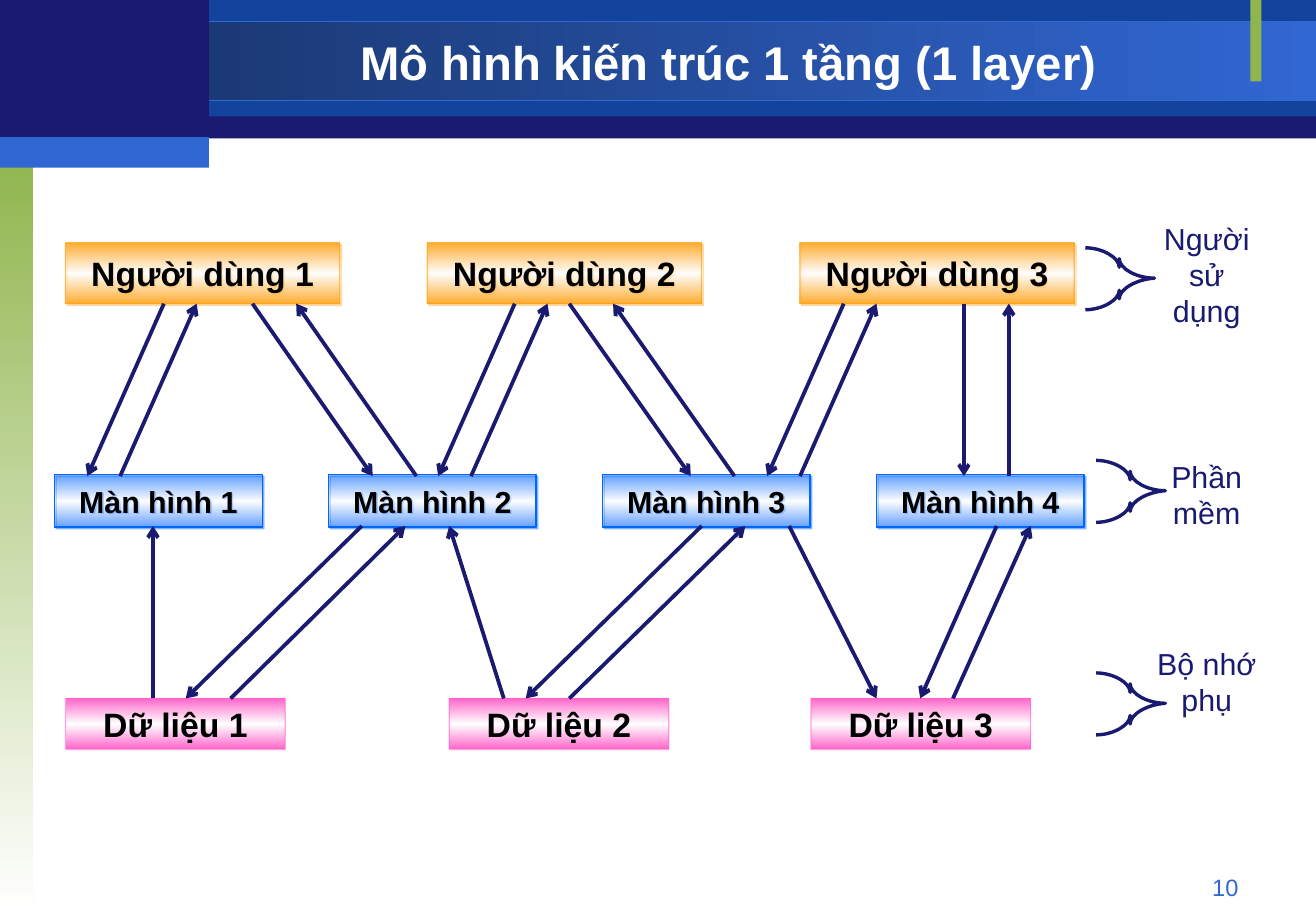
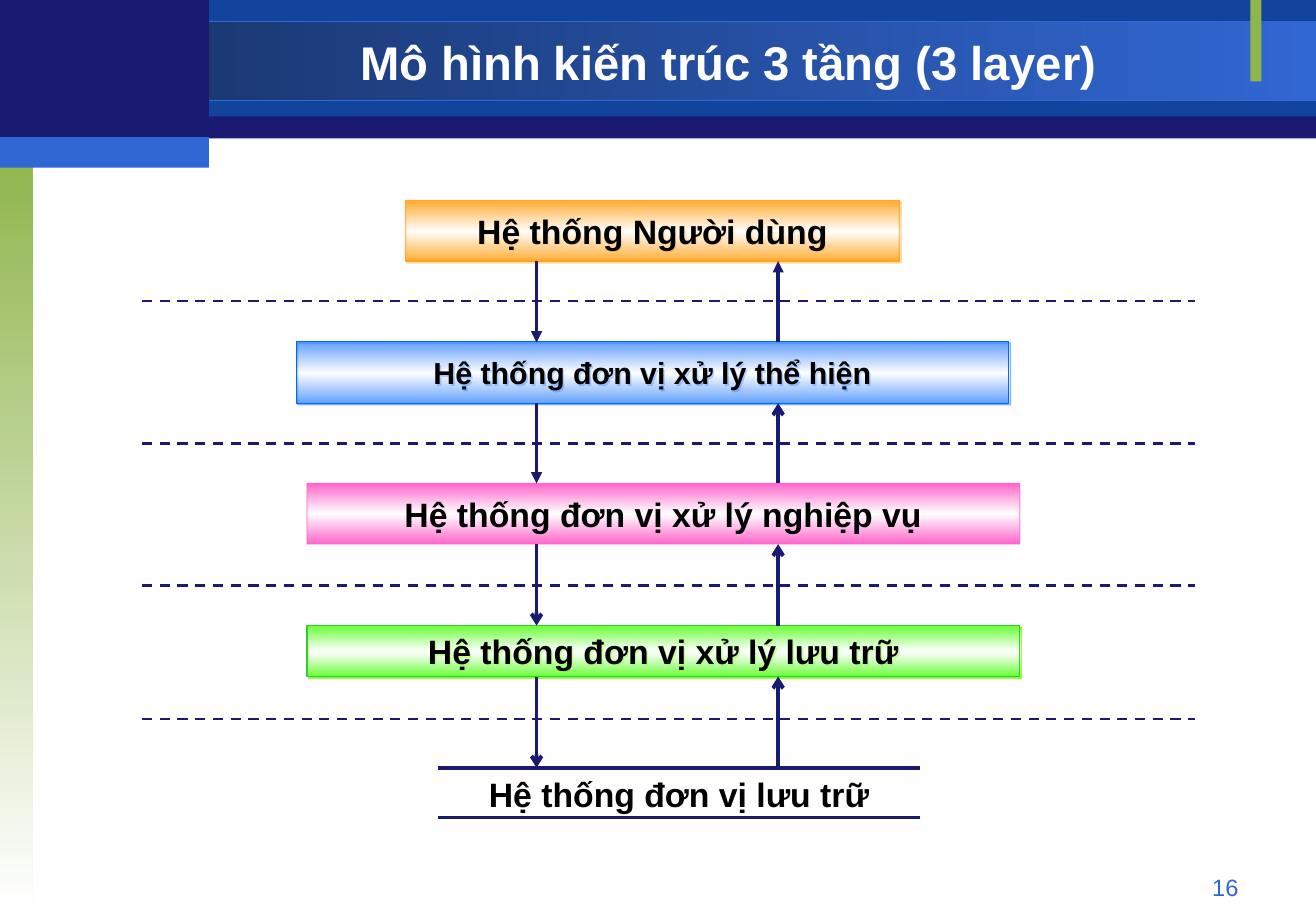
from lxml import etree
from pptx import Presentation
from pptx.dml.color import RGBColor
from pptx.enum import dml, shapes, text
from pptx.oxml import parse_xml
from pptx.oxml.ns import nsdecls, qn
from pptx.util import Inches, Pt

COLORS = {
    "navy": "1A1A70", "royal": "12449E", "steel": "173062", "sky": "3167D3",
    "olive": "90B54D", "white": "FFFFFF", "black": "000000",
    "orange": "FF9900", "blue": "0066FF", "pink": "FF66CC",
    "lime": "66FF33", "green": "33CC33", "yellow_green": "99FF33",
}
FONT = "Arial"
CENTER, RIGHT = text.PP_ALIGN.CENTER, text.PP_ALIGN.RIGHT

# Gradient stops are (position, colour, opacity); shadows are (colour, opacity)
STYLES = {
    "user": dict(stops=[(0, "orange", 71), (50, "white", 71), (100, "orange", 71)],
                 line="orange", line_opacity=60, shadow=("orange", 50)),
    "screen": dict(stops=[(0, "blue", 50), (50, "white", 50), (100, "blue", 50)],
                   line="blue", shadow=("blue", 50), size=18),
    "data": dict(stops=[(0, "pink", 100), (50, "white", 100), (100, "pink", 100)],
                 line="pink", line_opacity=60),
    "storage": dict(stops=[(0, "lime", 100), (50, "white", 50), (100, "lime", 100)],
                    line="green", shadow=("yellow_green", 100)),
}


def add_block(page, at, stops, angle=90, line=None, line_opacity=100,
              shadow=None, label="", size=20):
    """Add a gradient rectangle, with optional outline, shadow and label."""
    block = page.shapes.add_shape(shapes.MSO_SHAPE.RECTANGLE, *map(Inches, at))
    properties = block.element.spPr
    marks = "".join(
        f'<a:gs pos="{position * 1000}"><a:srgbClr val="{COLORS[color]}">'
        f'<a:alpha val="{opacity * 1000}"/></a:srgbClr></a:gs>'
        for position, color, opacity in stops)
    properties.insert(2, parse_xml(
        f'<a:gradFill {nsdecls("a")} rotWithShape="1"><a:gsLst>{marks}</a:gsLst>'
        f'<a:lin ang="{angle * 60000}" scaled="0"/></a:gradFill>'))
    if line:
        block.line.color.rgb = RGBColor.from_string(COLORS[line])
        block.line.width = Pt(0.75)
        if line_opacity < 100:
            color = properties.find(qn("a:ln")).find(".//" + qn("a:srgbClr"))
            etree.SubElement(color, qn("a:alpha"), val=str(line_opacity * 1000))
    else:
        block.line.fill.background()
    block.shadow.inherit = False
    if shadow:
        color, opacity = shadow
        properties.find(qn("a:effectLst")).append(parse_xml(
            f'<a:outerShdw {nsdecls("a")} blurRad="0" dist="{Pt(1.4)}" dir="2700000">'
            f'<a:srgbClr val="{COLORS[color]}"><a:alpha val="{opacity * 1000}"/>'
            f'</a:srgbClr></a:outerShdw>'))
    if label:
        frame = block.text_frame
        frame.vertical_anchor = text.MSO_ANCHOR.MIDDLE
        para = frame.paragraphs[0]
        para.text, para.alignment = label, CENTER
        para.font.name, para.font.size, para.font.bold = FONT, Pt(size), True
        para.font.color.rgb = RGBColor.from_string(COLORS["black"])
    return block


def add_line(page, start, end, head=None, width=2.25, dash=None):
    """Add a straight navy line, with an optional arrowhead at its end."""
    line = page.shapes.add_connector(
        shapes.MSO_CONNECTOR.STRAIGHT, *map(Inches, start + end))
    line.line.color.rgb = RGBColor.from_string(COLORS["navy"])
    line.line.width = Pt(width)
    if dash:
        line.line.dash_style = dash
    properties = line.element.spPr
    if head:
        etree.SubElement(properties.find(qn("a:ln")), qn("a:tailEnd"), type=head)
    etree.SubElement(properties, qn("a:effectLst"))


deck = Presentation()
deck.slide_width, deck.slide_height = Inches(10.84), Inches(7.5)
layout = deck.slide_layouts.get_by_name("Title Only")
for holder in list(layout.placeholders)[1:]:
    layout.shapes.element.remove(holder.element)

# Titles
pages = []
for layers in (1, 3):
    page = deck.slides.add_slide(layout)
    title = page.shapes.title
    title.left, title.top = Inches(1.71), Inches(0.22)
    title.width, title.height = Inches(8.58), Inches(0.58)
    title.text_frame.vertical_anchor = text.MSO_ANCHOR.MIDDLE
    title.text_frame.auto_size = text.MSO_AUTO_SIZE.NONE
    para = title.text_frame.paragraphs[0]
    para.text = f"Mô hình kiến trúc {layers} tầng ({layers} layer)"
    para.alignment = CENTER
    para.font.name, para.font.size, para.font.bold = FONT, Pt(28), True
    para.font.color.rgb = RGBColor.from_string(COLORS["white"])
    pages.append(page)
one_layer, three_layer = pages

# Bands, moved to the layout so that both slides share them
bands = [
    ((0, 0.01, 10.84, 1.13), "navy", "navy", 0, None),
    ((1.72, 0, 9.12, 0.96), "royal", "royal", 0, None),
    ((0, 0.18, 10.84, 0.65), "steel", "sky", 0, "sky"),
    ((0, 1.25, 0.27, 6.25), "olive", "white", 90, None),
    ((10.3, 0, 0.09, 0.67), "olive", "olive", 0, None),
    ((0, 0, 1.72, 1.17), "navy", "navy", 0, None),
    ((0, 1.13, 1.72, 0.25), "sky", "sky", 0, None),
]
for index, (at, first, last, angle, outline) in enumerate(bands):
    band = add_block(one_layer, at, [(0, first, 100), (100, last, 100)], angle, outline)
    if first == last:
        band.fill.solid()
        band.fill.fore_color.rgb = RGBColor.from_string(COLORS[first])
    band.element.nvSpPr.cNvPr.set("id", str(20 + index))
    layout.shapes.element.insert(2 + index, band.element)

# One layer: rows of users, screens and data
rows = [
    ("user", "Người dùng", (0.54, 3.52, 6.59), 2, 2.26, 0.5),
    ("screen", "Màn hình", [0.45 + 6.77 * i / 3 for i in range(4)], 3.91, 1.71, 0.43),
    ("data", "Dữ liệu", (0.54, 3.7, 6.68), 5.75, 1.81, 0.42),
]
for style, name, lefts, top, width, height in rows:
    for number, left in enumerate(lefts, 1):
        add_block(one_layer, (left, top, width, height),
                  label=f"{name} {number}", **STYLES[style])

# One layer: arrows, as (start x, end x) pairs between two heights
flows = [
    (2.5, 3.92, [(1.35, 0.72), (2.08, 3.07), (4.24, 3.61), (4.69, 5.69),
                 (6.95, 6.32), (7.94, 7.94)]),
    (3.92, 2.5, [(0.99, 1.62), (3.43, 2.44), (3.88, 4.51), (6.05, 5.05),
                 (6.59, 7.22), (8.31, 8.31)]),
    (4.33, 5.75, [(2.98, 1.53), (5.78, 4.33), (6.5, 7.22), (8.21, 7.58)]),
    (5.75, 4.33, [(1.26, 1.26), (1.9, 3.34), (4.15, 3.7), (4.69, 6.14), (7.85, 8.49)]),
]
for start_y, end_y, pairs in flows:
    for start_x, end_x in pairs:
        add_line(one_layer, (start_x, start_y), (end_x, end_y), "arrow")

# One layer: braces of four curves; the lower half mirrors the upper half
upper = [(0, 0), (0.14, 0), (0.28, 0.08), (0.28, 0.16),
         (0.28, 0.09), (0.28, 0.17), (0.42, 0.25), (0.57, 0.25)]
outline = upper + [(x, 0.51 - y) for x, y in reversed(upper[:-1])]
for left, top in ((8.94, 2.04), (9.03, 3.79), (9.03, 5.54)):
    points = [(Inches(left + x), Inches(top + y)) for x, y in outline]
    builder = one_layer.shapes.build_freeform(*points[0])
    builder.add_line_segments(points[1:], close=False)
    brace = builder.convert_to_shape()
    segments = list(brace.element.spPr.iter(qn("a:lnTo")))
    for first in (0, 4, 7, 11):
        curve = etree.Element(qn("a:cubicBezTo"))
        segments[first].addprevious(curve)
        for segment in segments[first:first + 3]:
            curve.append(segment[0])
            segment.getparent().remove(segment)
    brace.fill.background()
    brace.line.color.rgb = RGBColor.from_string(COLORS["navy"])
    brace.line.width = Pt(2)
    brace.shadow.inherit = False

# Three layers: stacked systems
systems = [
    ("user", "Hệ thống Người dùng", (3.34, 1.65, 4.07, 0.5)),
    ("screen", "Hệ thống đơn vị xử lý thể hiện", (2.44, 2.81, 5.87, 0.51)),
    ("data", "Hệ thống đơn vị xử lý nghiệp vụ", (2.53, 3.98, 5.87, 0.5)),
    ("storage", "Hệ thống đơn vị xử lý lưu trữ", (2.53, 5.15, 5.87, 0.42)),
]
for style, name, at in systems:
    add_block(three_layer, at, label=name, **STYLES[style])

# Three layers: a down arrow, an up arrow and a divider in each gap
gaps = [
    (2.15, 2.82, 2.48, "triangle", "triangle"),
    (3.32, 3.98, 3.65, "triangle", "arrow"),
    (4.48, 5.15, 4.82, "arrow", "arrow"),
    (5.57, 6.32, 5.92, "arrow", "arrow"),
]
for top, bottom, middle, down_head, up_head in gaps:
    add_line(three_layer, (4.42, top), (4.42, bottom), down_head)
    add_line(three_layer, (6.41, bottom), (6.41, top), up_head)
    add_line(three_layer, (1.17, middle), (9.84, middle), width=1.5,
             dash=dml.MSO_LINE.DASH)
for y in (6.32, 6.73):
    add_line(three_layer, (3.61, y), (7.58, y))

# Row labels, the data store and slide numbers
captions = [
    (one_layer, "Người sử dụng", (9.4, 1.76, 1.08, 1), 18, "navy", CENTER),
    (one_layer, "Phần mềm", (9.4, 3.72, 1.08, 0.7), 18, "navy", CENTER),
    (one_layer, "Bộ nhớ phụ", (9.4, 5.26, 1.08, 0.7), 18, "navy", CENTER),
    (three_layer, "Hệ thống đơn vị lưu trữ", (3.61, 6.32, 3.97, 0.44), 20, "black", CENTER),
    (one_layer, "10", (7.77, 7.14, 2.53, 0.27), 14, "sky", RIGHT),
    (three_layer, "16", (7.77, 7.14, 2.53, 0.27), 14, "sky", RIGHT),
]
for page, words, at, size, color, alignment in captions:
    box = page.shapes.add_textbox(*map(Inches, at))
    box.text_frame.word_wrap = True
    para = box.text_frame.paragraphs[0]
    para.text, para.alignment = words, alignment
    para.font.name, para.font.size = FONT, Pt(size)
    para.font.bold = color == "black"
    para.font.color.rgb = RGBColor.from_string(COLORS[color])

deck.save("out.pptx")
